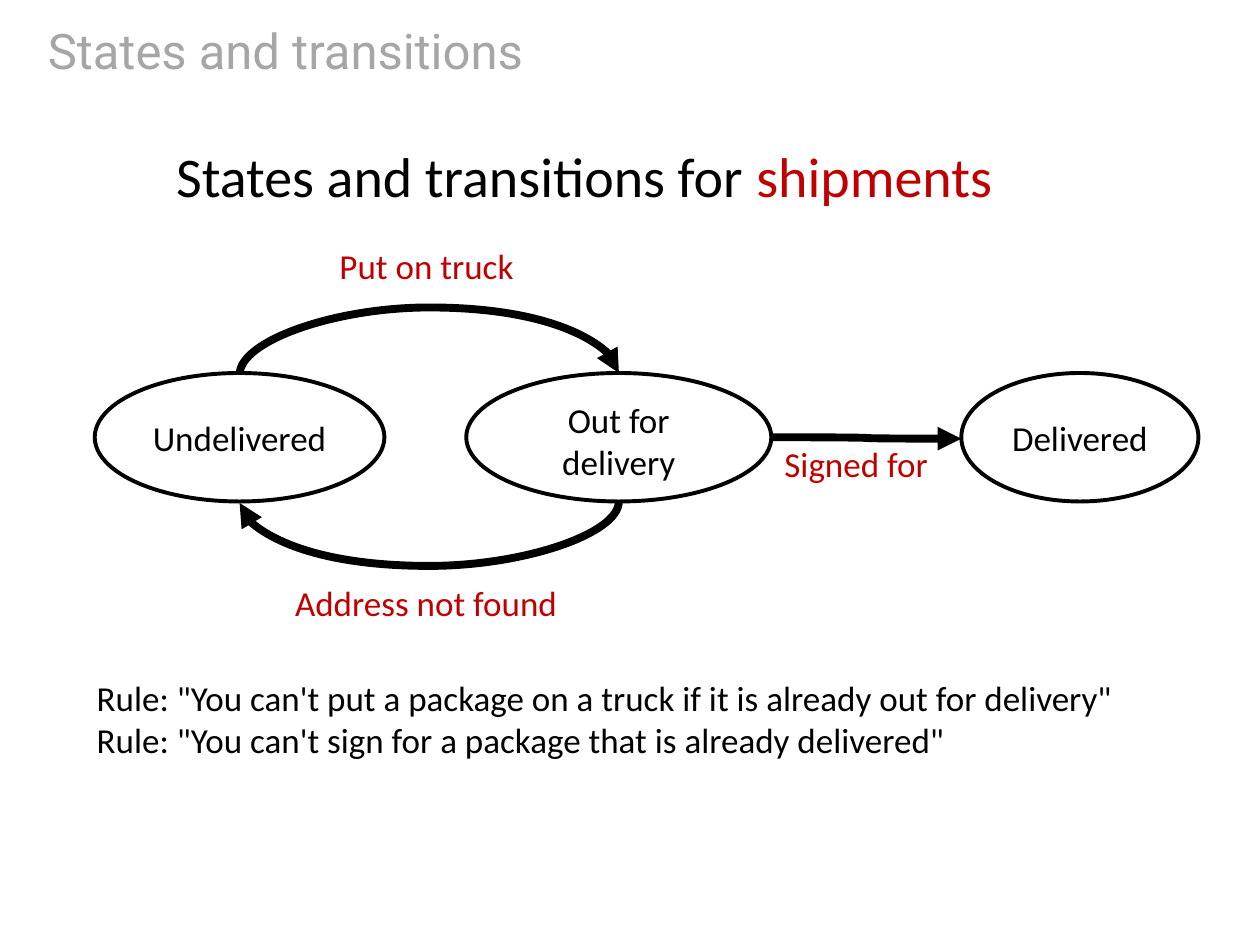
from dataclasses import dataclass

from lxml import etree
from pptx import Presentation
from pptx.dml.color import RGBColor
from pptx.enum import shapes, text
from pptx.oxml import ns
from pptx.util import Cm, Pt


@dataclass(frozen=True)
class Theme:
    ink: RGBColor = RGBColor(0x00, 0x00, 0x00)
    paper: RGBColor = RGBColor(0xFF, 0xFF, 0xFF)
    accent: RGBColor = RGBColor(0xC0, 0x00, 0x00)
    muted: RGBColor = RGBColor(0xA6, 0xA6, 0xA6)
    title_font: str = "Roboto"
    body_font: str = "Calibri"
    title_size: Pt = Pt(28)
    heading_size: Pt = Pt(32)
    body_size: Pt = Pt(20)
    outline: Pt = Pt(2.25)
    arrow: Pt = Pt(4.5)


@dataclass(frozen=True)
class Box:
    left: float
    top: float
    width: float
    height: float

    def lengths(self) -> tuple:
        return Cm(self.left), Cm(self.top), Cm(self.width), Cm(self.height)

    def site(self, index: int) -> tuple[float, float]:
        across, down = {TOP: (0.5, 0), LEFT: (0, 0.5), BOTTOM: (0.5, 1), RIGHT: (1, 0.5)}[index]
        return self.left + across * self.width, self.top + down * self.height


@dataclass(frozen=True)
class State:
    name: str
    box: Box
    anchor: text.MSO_ANCHOR = text.MSO_ANCHOR.MIDDLE


@dataclass(frozen=True)
class Transition:
    event: str
    label: Box
    source: int
    source_site: int
    target: int
    target_site: int
    bulge: float = 0


TOP, LEFT, BOTTOM, RIGHT = 0, 2, 4, 6
SAG = 0.03
THEME = Theme()
STATE_TOP, STATE_HEIGHT, LABEL_HEIGHT = 7.52, 2.59, 1.07

STATES = [
    State("Undelivered", Box(1.91, STATE_TOP, 5.84, STATE_HEIGHT)),
    State("Out for delivery", Box(9.4, STATE_TOP, 6.15, STATE_HEIGHT), text.MSO_ANCHOR.TOP),
    State("Delivered", Box(19.38, STATE_TOP, 4.78, STATE_HEIGHT)),
]
TRANSITIONS = [
    Transition("Put on truck", Box(6.76, 4.93, 3.68, LABEL_HEIGHT), 0, TOP, 1, TOP, 1.35),
    Transition("Address not found", Box(5.77, 11.73, 5.64, LABEL_HEIGHT), 1, BOTTOM, 0, BOTTOM, 1.3),
    Transition("Signed for", Box(15.37, 8.92, 3.78, LABEL_HEIGHT), 1, RIGHT, 2, LEFT),
]
RULES = [
    'Rule: "You can\'t put a package on a truck if it is already out for delivery"',
    'Rule: "You can\'t sign for a package that is already delivered"',
]


def add_run(paragraph, words: str, color: RGBColor, size: Pt = THEME.body_size,
            font: str = THEME.body_font) -> None:
    run = paragraph.add_run()
    run.text = words
    run.font.name = font
    run.font.size = size
    run.font.color.rgb = color


def add_frame(slide, box: Box):
    frame = slide.shapes.add_textbox(*box.lengths()).text_frame
    frame.word_wrap = True
    return frame


def draw_title(slide, words: str) -> None:
    title = slide.shapes.title
    title.left, title.top, title.width, title.height = Box(0.71, 0.33, 24, 1.37).lengths()
    frame = title.text_frame
    frame.auto_size = text.MSO_AUTO_SIZE.NONE
    frame.vertical_anchor = text.MSO_ANCHOR.MIDDLE
    frame.paragraphs[0].alignment = text.PP_ALIGN.LEFT
    add_run(frame.paragraphs[0], words, THEME.muted, THEME.title_size, THEME.title_font)


def draw_state(slide, state: State):
    ellipse = slide.shapes.add_shape(shapes.MSO_SHAPE.OVAL, *state.box.lengths())
    ellipse.shadow.inherit = False
    ellipse.fill.solid()
    ellipse.fill.fore_color.rgb = THEME.paper
    ellipse.line.color.rgb = THEME.ink
    ellipse.line.width = THEME.outline
    frame = ellipse.text_frame
    frame.word_wrap = True
    frame.vertical_anchor = state.anchor
    frame.paragraphs[0].alignment = text.PP_ALIGN.CENTER
    add_run(frame.paragraphs[0], state.name, THEME.ink)
    return ellipse


def draw_label(slide, transition: Transition) -> None:
    frame = add_frame(slide, transition.label)
    frame.margin_left = frame.margin_top = frame.margin_right = frame.margin_bottom = 0
    frame.paragraphs[0].alignment = text.PP_ALIGN.CENTER
    add_run(frame.paragraphs[0], transition.event, THEME.accent)


def draw_arrow(slide, transition: Transition, ellipses: list) -> None:
    start_x, start_y = STATES[transition.source].box.site(transition.source_site)
    end_x, end_y = STATES[transition.target].box.site(transition.target_site)
    if transition.source_site == TOP:
        start_y += SAG
    else:
        end_y += SAG
    half_x, half_y = (end_x - start_x) / 2, (end_y - start_y) / 2
    middle_x, middle_y = start_x + half_x, start_y + half_y
    if transition.bulge:
        half_x, half_y = half_y, -half_x
    arrow = slide.shapes.add_connector(
        shapes.MSO_CONNECTOR.CURVE,
        Cm(middle_x - half_x), Cm(middle_y - half_y),
        Cm(middle_x + half_x), Cm(middle_y + half_y))
    arrow.line.color.rgb = THEME.ink
    arrow.line.width = THEME.arrow

    properties = arrow._element.spPr
    if transition.bulge:
        properties.find(ns.qn("a:xfrm")).set("rot", str(90 * 60000))
        adjustments = properties.find(ns.qn("a:prstGeom")).find(ns.qn("a:avLst"))
        ratio = round(transition.bulge / SAG * 100000)
        etree.SubElement(adjustments, ns.qn("a:gd"), name="adj1", fmla=f"val {ratio}")
    etree.SubElement(arrow.line._get_or_add_ln(), ns.qn("a:tailEnd"), type="triangle")
    etree.SubElement(properties, ns.qn("a:effectLst"))

    joints = arrow._element.nvCxnSpPr.cNvCxnSpPr
    for joint, state, site in (
        (joints.get_or_add_stCxn(), transition.source, transition.source_site),
        (joints.get_or_add_endCxn(), transition.target, transition.target_site),
    ):
        joint.set("id", str(ellipses[state].shape_id))
        joint.set("idx", str(site))


def draw_heading(slide) -> None:
    heading = add_frame(slide, Box(3.3, 2.72, 19.2, 1.63)).paragraphs[0]
    add_run(heading, "States and transitions for ", THEME.ink, THEME.heading_size)
    add_run(heading, "shipments", THEME.accent, THEME.heading_size)


def draw_rules(slide) -> None:
    frame = add_frame(slide, Box(1.7, 13.51, 21.59, 2.82))
    for index, rule in enumerate(RULES):
        paragraph = frame.add_paragraph() if index else frame.paragraphs[0]
        add_run(paragraph, rule, THEME.ink)


def main() -> None:
    deck = Presentation()
    deck.slide_width, deck.slide_height = Cm(25.4), Cm(19.05)
    slide = deck.slides.add_slide(deck.slide_layouts[5])
    draw_title(slide, "States and transitions")
    ellipses = [draw_state(slide, state) for state in STATES]
    for transition in TRANSITIONS:
        draw_label(slide, transition)
    for transition in TRANSITIONS:
        draw_arrow(slide, transition, ellipses)
    draw_heading(slide)
    draw_rules(slide)
    deck.save("out.pptx")


if __name__ == "__main__":
    main()
